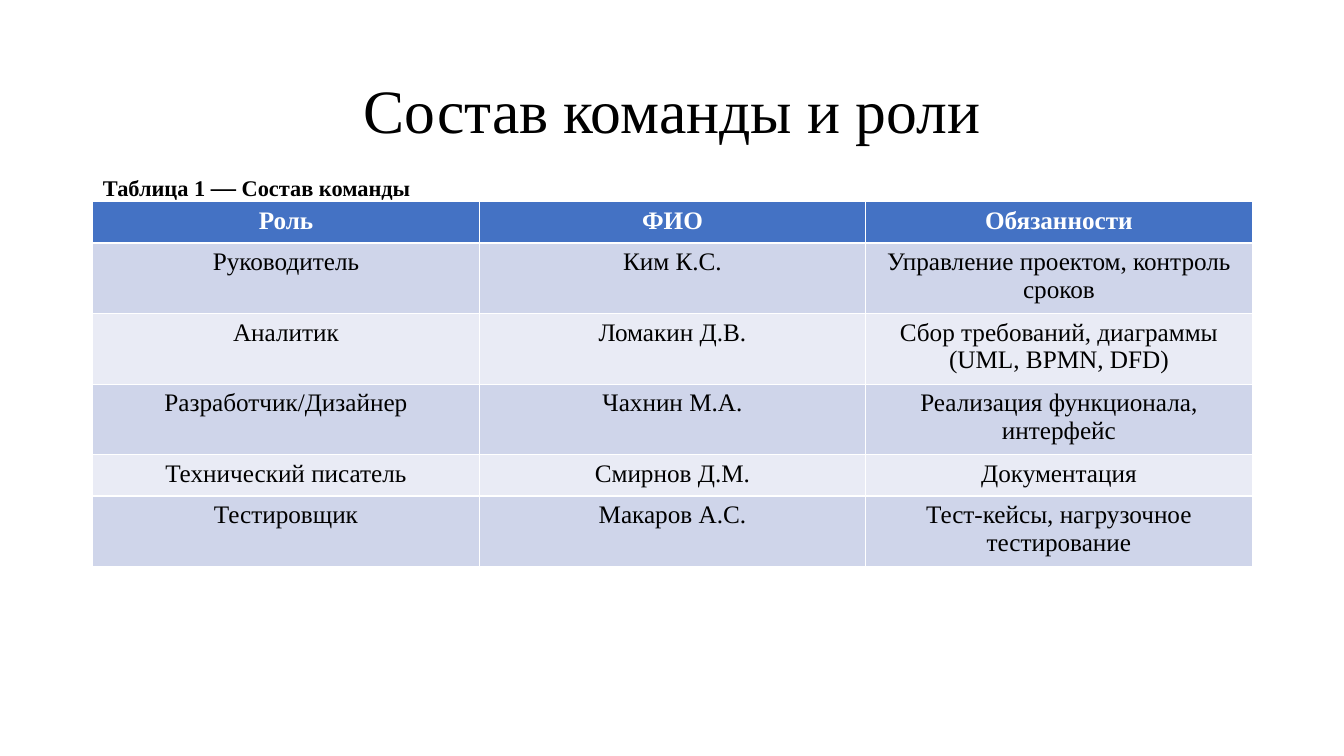
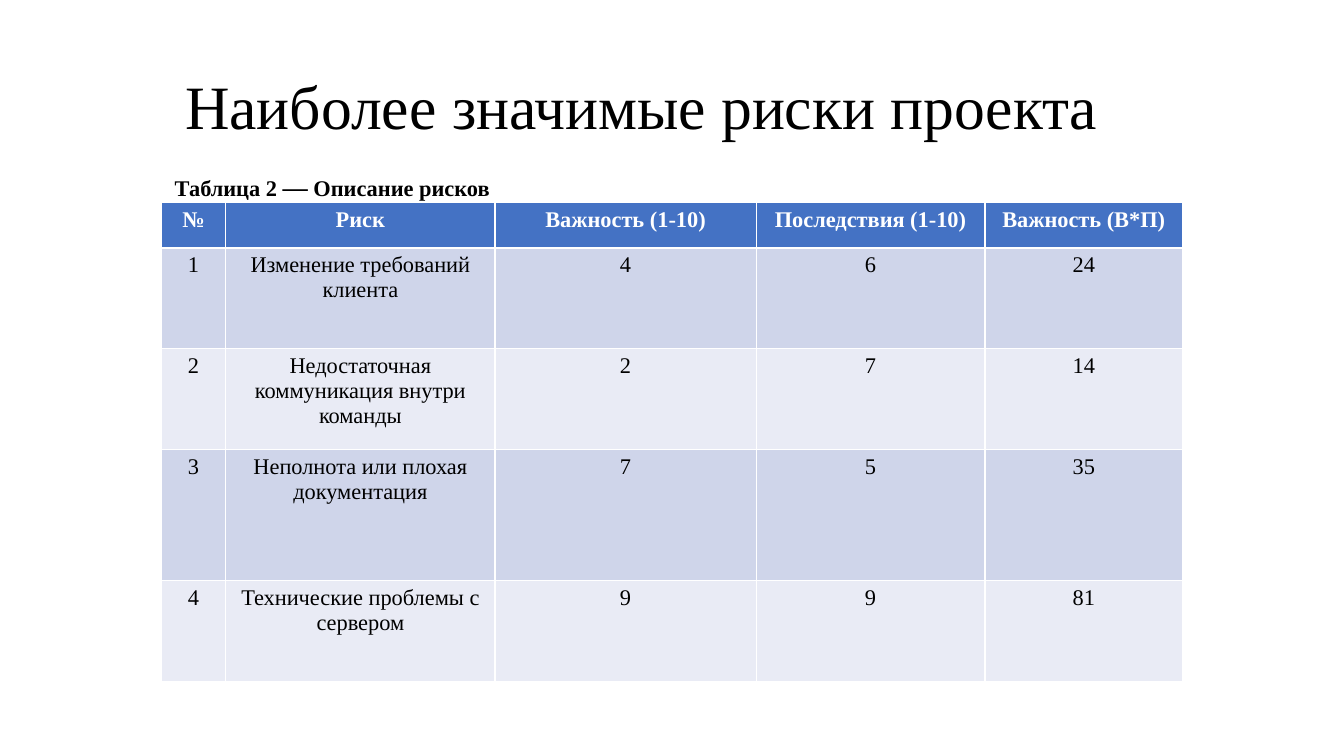
"""Build two slides: the project team and the main project risks."""
from dataclasses import dataclass

from pptx import Presentation
from pptx.dml.color import RGBColor as RGB
from pptx.enum.text import MSO_ANCHOR as Anchor, PP_ALIGN as Align
from pptx.util import Inches, Pt


@dataclass(frozen=True)
class Theme:
    font: str = "Times New Roman"
    ink: str = "000000"
    paper: str = "FFFFFF"
    head: str = "4472C4"
    bands: tuple = ("CFD5EA", "E9EBF5")
    title: int = 44
    label: int = 16
    dash: int = 18


THEME = Theme()

SLIDES = [
    {
        "title": "Состав команды и роли",
        "box": (0.92, 0.4, 11.5, 1.45),
        "label": ("Таблица 1 ", "—", " Состав команды"),
        "label_x": 0.85,
        "origin": (0.92, 2),
        "cols": [11.5 / 3] * 3,
        "rows": [0.41] * 6,
        "size": 18,
        "cells": [
            ("Роль", "ФИО", "Обязанности"),
            ("Руководитель", "Ким К.С.", "Управление проектом, контроль сроков"),
            ("Аналитик", "Ломакин Д.В.", "Сбор требований, диаграммы (UML, BPMN, DFD)"),
            ("Разработчик/Дизайнер", "Чахнин М.А.", "Реализация функционала, интерфейс"),
            ("Технический писатель", "Смирнов Д.М.", "Документация"),
            ("Тестировщик", "Макаров А.С.", "Тест-кейсы, нагрузочное тестирование"),
        ],
    },
    {
        "title": "Наиболее значимые риски проекта",
        "box": (0.92, 0.4, 10.89, 1.37),
        "label": ("Таблица 2 ", "—", " Описание рисков"),
        "label_x": 1.6,
        "origin": (1.6, 2.01),
        "cols": [0.64, 2.67, 2.59, 2.27, 1.96],
        "rows": [0.45, 1, 1, 1.3, 1],
        "size": 16,
        "cells": [
            ("№", "Риск", "Важность (1-10)", "Последствия (1-10)", "Важность (В*П)"),
            ("1", "Изменение требований клиента", "4", "6", "24"),
            ("2", "Недостаточная коммуникация внутри команды", "2", "7", "14"),
            ("3", "Неполнота или плохая документация", "7", "5", "35"),
            ("4", "Технические проблемы с сервером", "9", "9", "81"),
        ],
    },
]


def style(para, size, color=THEME.ink, bold=False):
    para.alignment = Align.CENTER
    font = para.font
    font.name, font.size, font.bold = THEME.font, Pt(size), bold
    font.color.rgb = RGB.from_string(color)


def add_text(slide, box, parts, size, spacing, anchor, bold=False):
    frame = slide.shapes.add_textbox(*map(Inches, box)).text_frame
    frame.word_wrap = True
    frame.vertical_anchor = anchor
    para = frame.paragraphs[0]
    style(para, size, bold=bold)
    para.line_spacing = spacing
    for part in parts:
        run = para.add_run()
        run.text = part
        if part == "—":
            run.font.size = Pt(THEME.dash)


def add_grid(slide, data):
    cols, rows = data["cols"], data["rows"]
    area = (*data["origin"], sum(cols), sum(rows))
    table = slide.shapes.add_table(len(rows), len(cols), *map(Inches, area)).table
    for col, width in zip(table.columns, cols):
        col.width = Inches(width)
    for i, (row, height) in enumerate(zip(table.rows, rows)):
        row.height = Inches(height)
        top = i == 0
        fill = THEME.head if top else THEME.bands[(i - 1) % 2]
        for cell, text in zip(row.cells, data["cells"][i]):
            cell.text = text
            cell.fill.solid()
            cell.fill.fore_color.rgb = RGB.from_string(fill)
            style(cell.text_frame.paragraphs[0], data["size"],
                  THEME.paper if top else THEME.ink, top)


def main():
    deck = Presentation()
    deck.slide_width, deck.slide_height = Inches(13.33), Inches(7.5)
    for data in SLIDES:
        slide = deck.slides.add_slide(deck.slide_layouts[6])
        add_text(slide, data["box"], [data["title"]], THEME.title, 0.9, Anchor.MIDDLE)
        add_grid(slide, data)
        add_text(slide, (data["label_x"], 1.5, 3.39, 0.5), data["label"],
                 THEME.label, 1.5, Anchor.TOP, True)
    deck.save("out.pptx")


if __name__ == "__main__":
    main()
